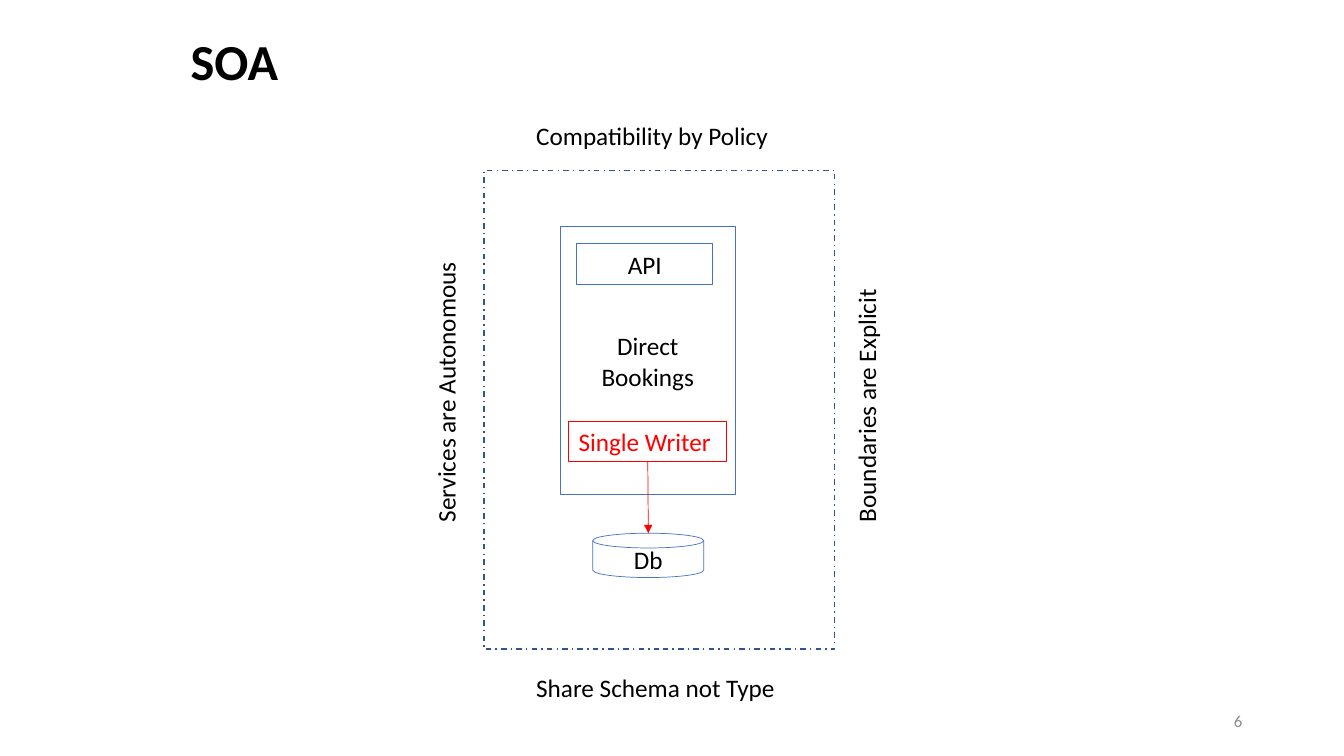
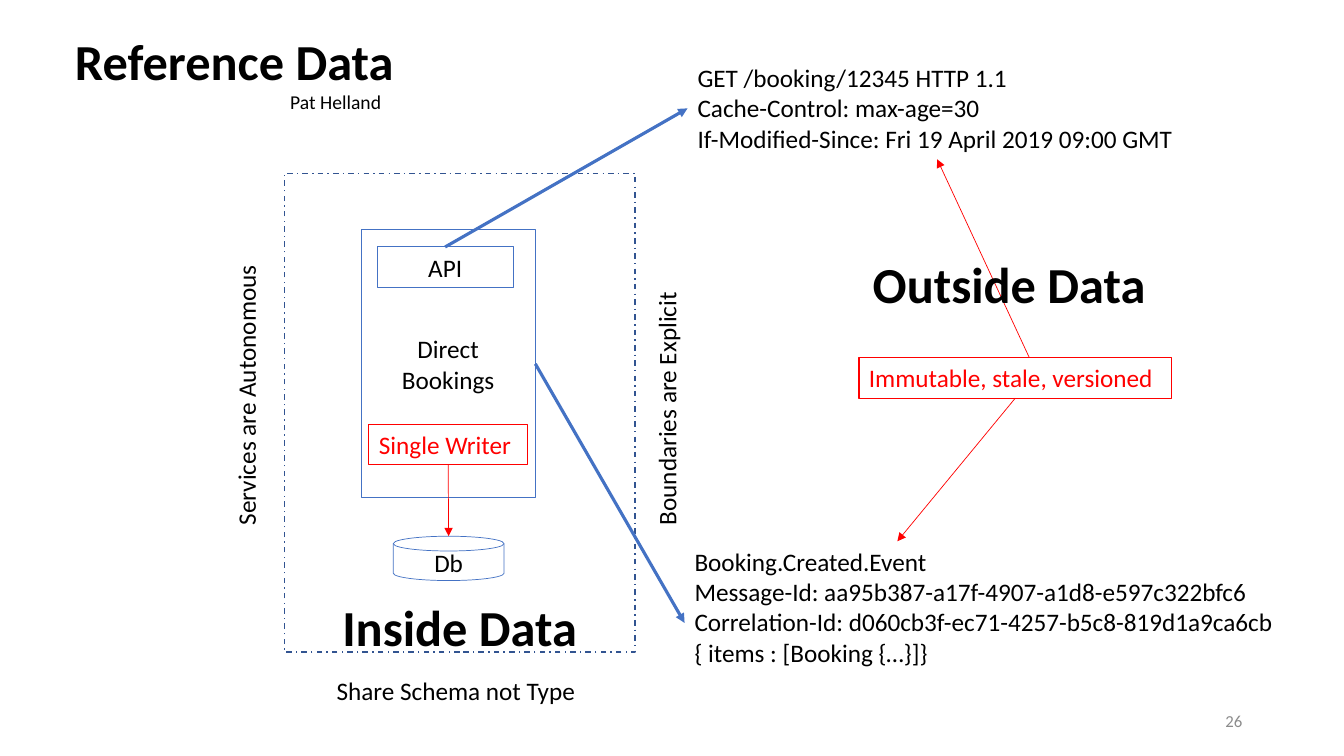
from lxml.etree import SubElement
from pptx import Presentation
from pptx.dml.color import RGBColor
from pptx.enum.dml import MSO_LINE
from pptx.enum.shapes import MSO_CONNECTOR, MSO_SHAPE
from pptx.enum.text import MSO_ANCHOR, PP_ALIGN
from pptx.oxml.ns import qn
from pptx.util import Inches, Pt

FONT = "Calibri"
BLACK = "000000"
RED = "FF0000"
BLUE = "4472C4"
NAVY = "325491"
GREY = "8C8C8C"
LINE_HEIGHT = 0.4
HEADING_HEIGHT = 0.71
TOP, LEFT, BOTTOM, RIGHT = range(4)


def color_of(value):
    return RGBColor.from_string(value)


def write_text(shape, text, size=18, color=BLACK, bold=False,
               align=PP_ALIGN.LEFT, anchor=MSO_ANCHOR.TOP):
    frame = shape.text_frame
    frame.word_wrap = True
    frame.vertical_anchor = anchor
    frame.text = text
    for para in frame.paragraphs:
        para.alignment = align
        for span in para.runs:
            span.font.name = FONT
            span.font.size = Pt(size)
            span.font.bold = bold
            span.font.color.rgb = color_of(color)


def add_label(page, text, left, top, width, height=LINE_HEIGHT, rotation=0, **text_format):
    box = page.shapes.add_textbox(Inches(left), Inches(top), Inches(width), Inches(height))
    box.rotation = rotation
    write_text(box, text, **text_format)
    return box


def add_heading(page, text, left, top, width):
    add_label(page, text, left, top, width, HEADING_HEIGHT,
              size=36, bold=True, align=PP_ALIGN.CENTER)


def add_outline(page, left, top, width, height, color=BLUE, weight=0.5,
                kind=MSO_SHAPE.RECTANGLE, dash=None):
    shape = page.shapes.add_shape(kind, Inches(left), Inches(top), Inches(width), Inches(height))
    shape.shadow.inherit = False
    shape.fill.background()
    shape.line.color.rgb = color_of(color)
    shape.line.width = Pt(weight)
    if dash is not None:
        shape.line.dash_style = dash
    return shape


def add_red_note(page, text, left, top, width):
    note = add_outline(page, left, top, width, LINE_HEIGHT, RED, 0.75)
    write_text(note, text, color=RED)
    return note


def add_arrow(page, start=(0, 0), finish=(0, 0), begin=None, end=None, color=RED, weight=0.5):
    points = [Inches(value) for value in (*start, *finish)]
    arrow = page.shapes.add_connector(MSO_CONNECTOR.STRAIGHT, *points)
    if begin:
        arrow.begin_connect(*begin)
    if end:
        arrow.end_connect(*end)
    arrow.line.color.rgb = color_of(color)
    arrow.line.width = Pt(weight)
    properties = arrow.element.spPr
    SubElement(properties.get_or_add_ln(), qn("a:tailEnd"), type="triangle")
    SubElement(properties, qn("a:effectLst"))


def add_service(page, left, top):
    centered = {"align": PP_ALIGN.CENTER, "anchor": MSO_ANCHOR.MIDDLE}
    service = add_outline(page, left + 0.76, top + 0.56, 1.73, 2.66)
    write_text(service, "Direct\nBookings", **centered)
    api = add_outline(page, left + 0.92, top + 0.73, 1.35, LINE_HEIGHT, weight=0.75)
    write_text(api, "API", align=PP_ALIGN.CENTER)
    database = add_outline(page, left + 1.08, top + 3.6, 1.1, 0.44,
                           kind=MSO_SHAPE.FLOWCHART_MAGNETIC_DISK)
    write_text(database, "Db", **centered)
    add_outline(page, left, top, 3.48, 4.75, NAVY, 1, dash=MSO_LINE.DASH_DOT)
    add_label(page, "Boundaries are Explicit", left + 2.47, top + 2.07, 2.64, rotation=270)
    add_label(page, "Services are Autonomous", left - 1.81, top + 1.96, 2.86, rotation=270)
    add_label(page, "Share Schema not Type", left + 0.42, top + 4.93, 2.64)
    writer = add_red_note(page, "Single Writer", left + 0.84, top + 2.49, 1.57)
    add_arrow(page, begin=(writer, BOTTOM), finish=(left + 1.63, top + 3.6))
    return service, api


def add_page(deck, title, number):
    page = deck.slides.add_slide(deck.slide_layouts[6])
    add_heading(page, title, 0.44, 0.25, 3.77)
    add_label(page, number, 9.42, 6.95, 3, size=12, color=GREY,
              align=PP_ALIGN.RIGHT, anchor=MSO_ANCHOR.MIDDLE)
    return page


def build_soa(deck):
    page = add_page(deck, "SOA", "6")
    add_service(page, 4.8, 1.69)
    add_label(page, "Compatibility by Policy", 5.22, 1.14, 2.64)


def build_reference_data(deck):
    page = add_page(deck, "Reference Data", "26")
    add_label(page, "Pat Helland", 2.32, 0.84, 1.56, 0.34, size=14, align=PP_ALIGN.RIGHT)
    service, api = add_service(page, 2.82, 1.72)
    request = add_label(
        page,
        "GET /booking/12345 HTTP 1.1\n"
        "Cache-Control: max-age=30\n"
        "If-Modified-Since: Fri 19 April 2019 09:00 GMT",
        6.82, 0.57, 4.95, 1.01)
    event = add_label(
        page,
        "Booking.Created.Event\n"
        "Message-Id: aa95b387-a17f-4907-a1d8-e597c322bfc6\n"
        "Correlation-Id: d060cb3f-ec71-4257-b5c8-819d1a9ca6cb\n"
        "{ items : [Booking {…}]}",
        6.79, 5.37, 6.54, 1.62)
    for source, side, message in ((api, TOP, request), (service, RIGHT, event)):
        add_arrow(page, begin=(source, side), end=(message, LEFT), color=BLUE, weight=2.25)
    note = add_red_note(page, "Immutable, stale, versioned", 8.52, 3.55, 3.1)
    add_arrow(page, begin=(note, BOTTOM), finish=(8.9, 5.37))
    add_arrow(page, start=(10.21, 3.55), end=(request, BOTTOM))
    add_heading(page, "Inside Data", 3.09, 5.86, 2.94)
    add_heading(page, "Outside Data", 8.54, 2.46, 2.94)


def main():
    deck = Presentation()
    deck.slide_width = Inches(13.33)
    deck.slide_height = Inches(7.5)
    build_soa(deck)
    build_reference_data(deck)
    deck.save("out.pptx")


if __name__ == "__main__":
    main()
